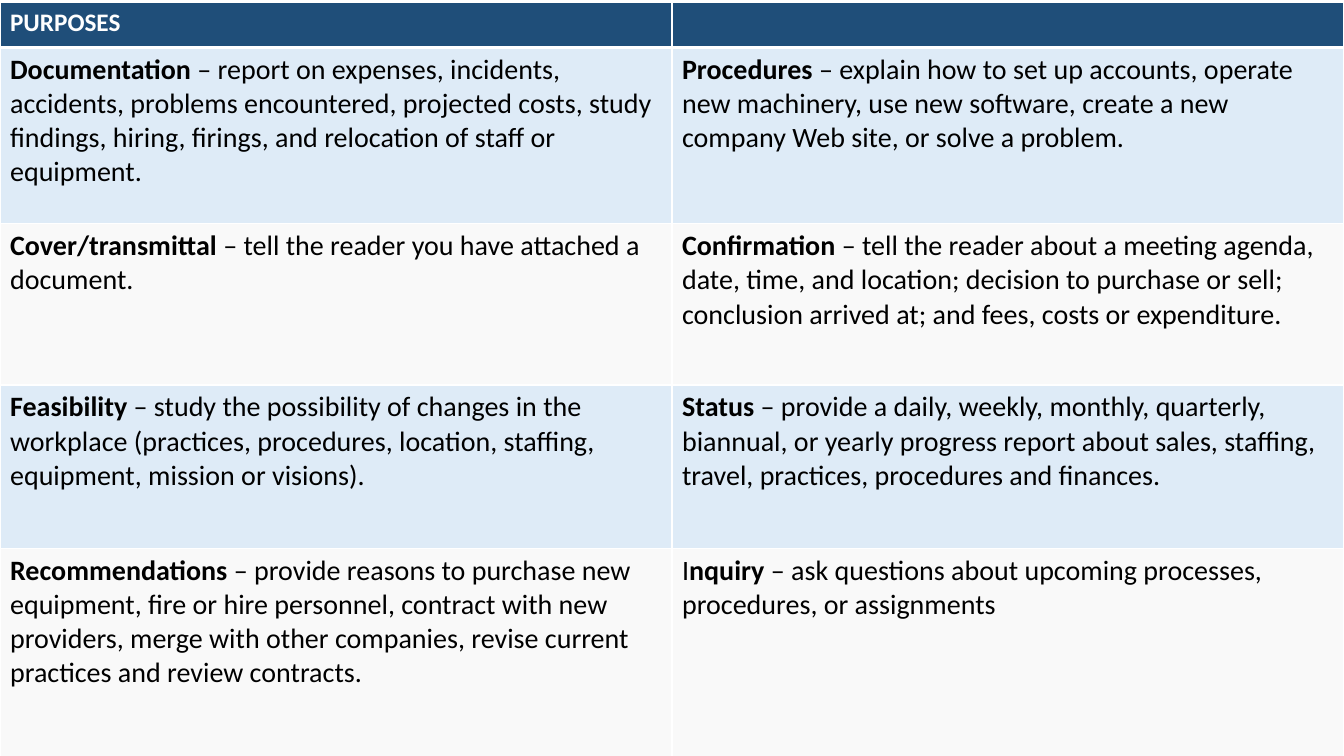
"""Build a slide with a table of memo purposes."""
import pptx
import pptx.dml.color
import pptx.oxml
import pptx.oxml.ns
import pptx.util
from pptx.util import Inches

HUES = {"head": "1F4E79", "odd": "DEEBF7", "even": "F9F9F9", "line": "FFFFFF", "text": "000000"}
FONT = "Calibri"
WIDTH, TOP = 13.33, 0.02
HEIGHTS = [0.45, 1.75, 1.6, 1.62, 2.21]
BOLD, PLAIN = True, False

ROWS = [
    [[("PURPOSES", BOLD)], []],
    [
        [("Documentation ", BOLD),
         ("– report on expenses, incidents, accidents, problems encountered, projected costs, "
          "study findings, hiring, firings, and relocation of staff or equipment.", PLAIN)],
        [("Procedures ", BOLD),
         ("– explain how to set up accounts, operate new machinery, use new software, "
          "create a new company Web site, or solve a problem.", PLAIN)],
    ],
    [
        [("Cover/transmittal ", BOLD),
         ("– tell the reader you have attached a document.", PLAIN)],
        [("Confirmation", BOLD),
         (" – tell the reader about a meeting agenda, date, time, and location; decision to "
          "purchase or sell; conclusion arrived at; and fees, costs or expenditure.", PLAIN)],
    ],
    [
        [("Feasibility", BOLD),
         (" – study the possibility of changes in the workplace (practices, procedures, "
          "location, staffing, equipment, mission or visions).", PLAIN)],
        [("Status", BOLD),
         (" – provide a daily, weekly, monthly, quarterly, biannual, or yearly progress report "
          "about sales, staffing, travel, practices, procedures and finances.", PLAIN)],
    ],
    [
        [("Recommendations ", BOLD),
         ("– provide reasons to purchase new equipment, fire or hire personnel, contract with "
          "new providers, merge with other companies, revise current practices and review "
          "contracts.", PLAIN)],
        [("I", PLAIN), ("nquiry", BOLD),
         (" – ask questions about upcoming processes, procedures, or assignments", PLAIN)],
    ],
]


def color(name):
    return pptx.dml.color.RGBColor.from_string(HUES[name])


def add_edges(cell, row):
    props = cell._tc.get_or_add_tcPr()
    thick = {0: "B", 1: "T"}.get(row)
    for side in "LRTB":
        width = pptx.util.Pt(3 if side == thick else 1)
        props.append(pptx.oxml.parse_xml(
            f'<a:ln{side} {pptx.oxml.ns.nsdecls("a")} w="{width}"><a:solidFill>'
            f'<a:srgbClr val="{HUES["line"]}"/></a:solidFill></a:ln{side}>'))


def fill_cell(cell, row, runs):
    add_edges(cell, row)
    cell.fill.solid()
    cell.fill.fore_color.rgb = color("head" if row == 0 else "odd" if row % 2 else "even")
    para = cell.text_frame.paragraphs[0]
    for text, bold in runs:
        run = para.add_run()
        run.text = text
        run.font.name = FONT
        run.font.size = pptx.util.Pt(20 if row else 18)
        run.font.bold = bold
        run.font.color.rgb = color("text" if row else "line")


def main():
    deck = pptx.Presentation()
    deck.slide_width, deck.slide_height = Inches(WIDTH), Inches(7.5)
    slide = deck.slides.add_slide(deck.slide_layouts[6])
    cols = len(ROWS[0])
    table = slide.shapes.add_table(
        len(ROWS), cols, 0, Inches(TOP), Inches(WIDTH), Inches(sum(HEIGHTS))).table
    for col in table.columns:
        col.width = Inches(WIDTH / cols)
    for i, cells in enumerate(ROWS):
        table.rows[i].height = Inches(HEIGHTS[i])
        for j, runs in enumerate(cells):
            fill_cell(table.cell(i, j), i, runs)
    deck.save("out.pptx")


if __name__ == "__main__":
    main()
